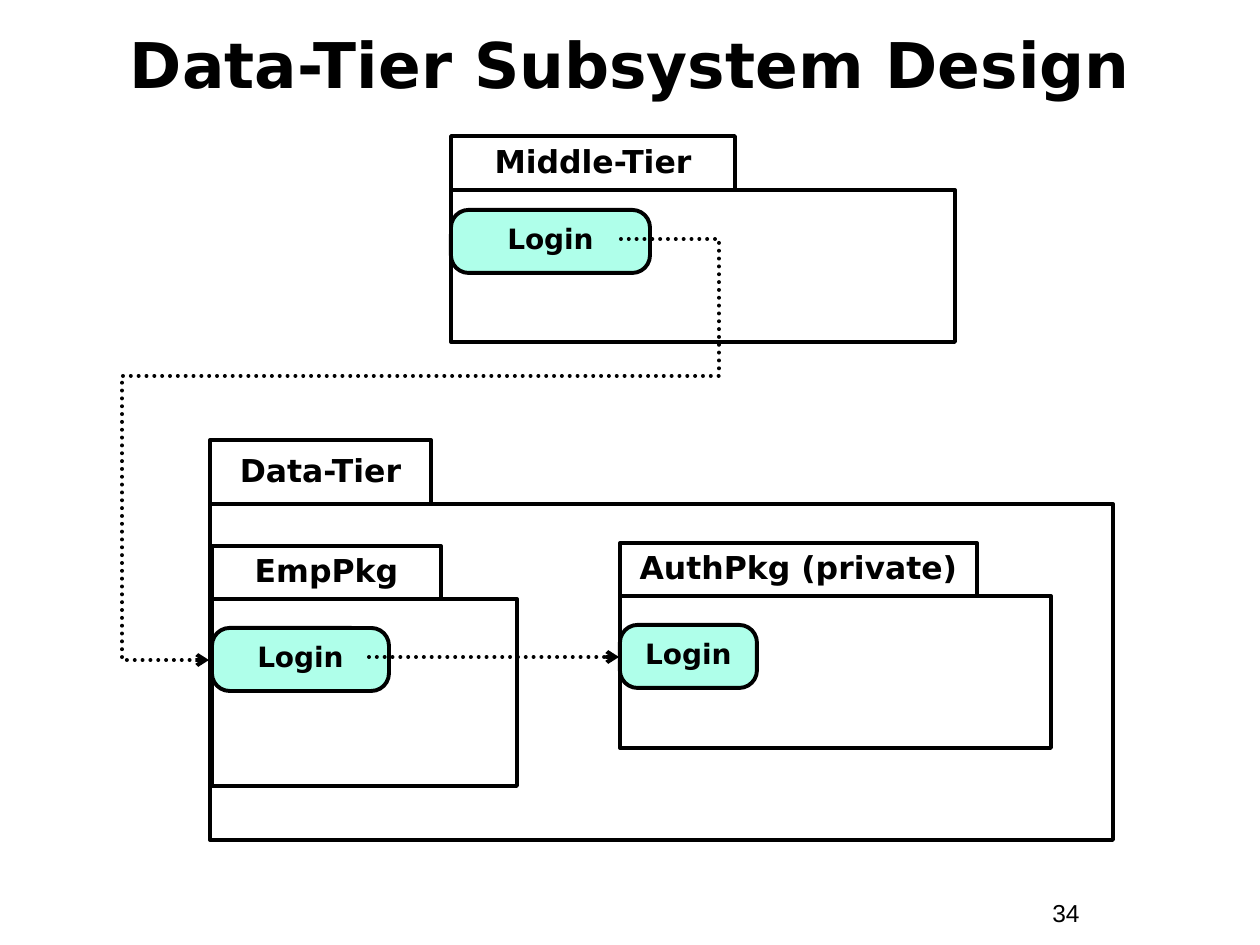
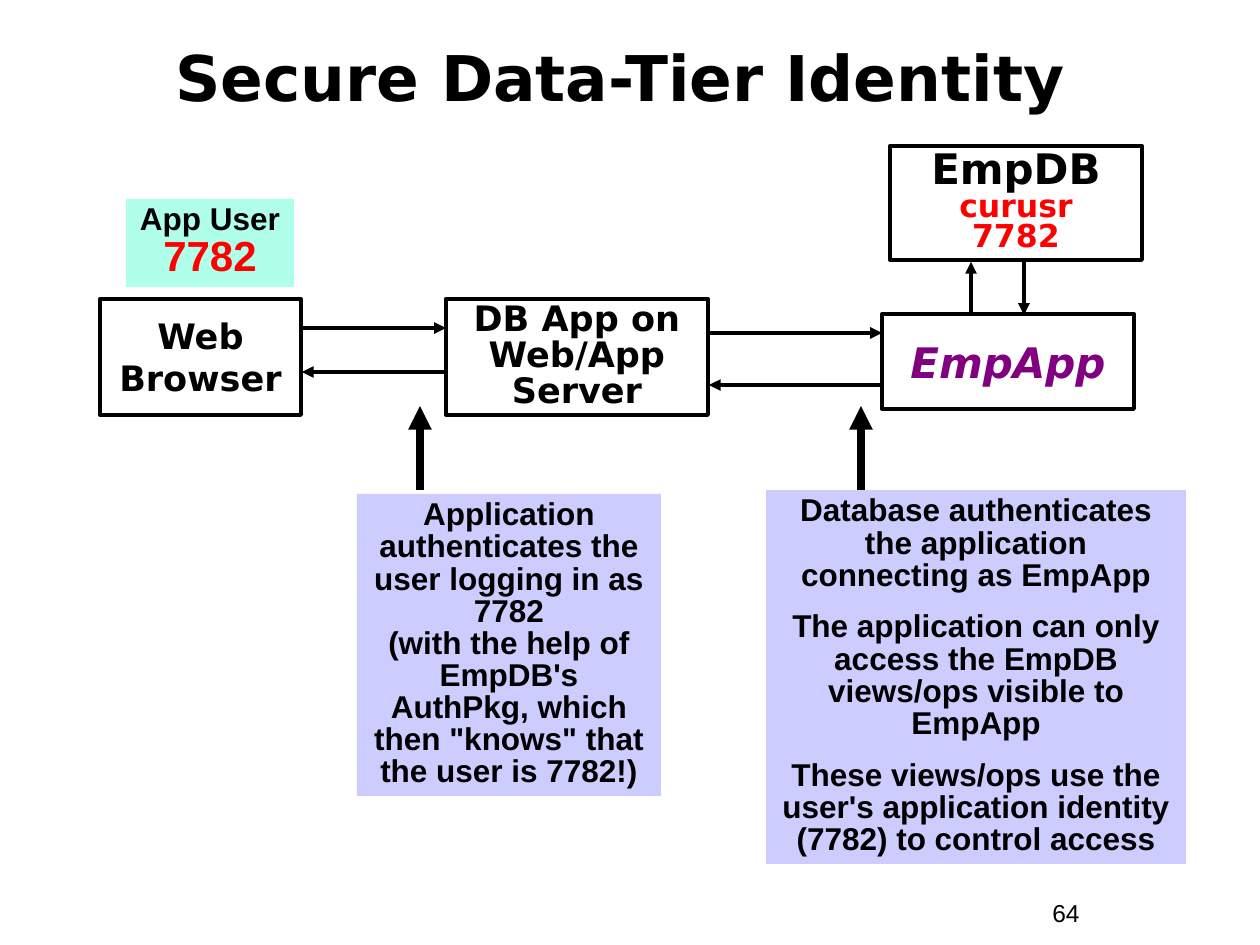
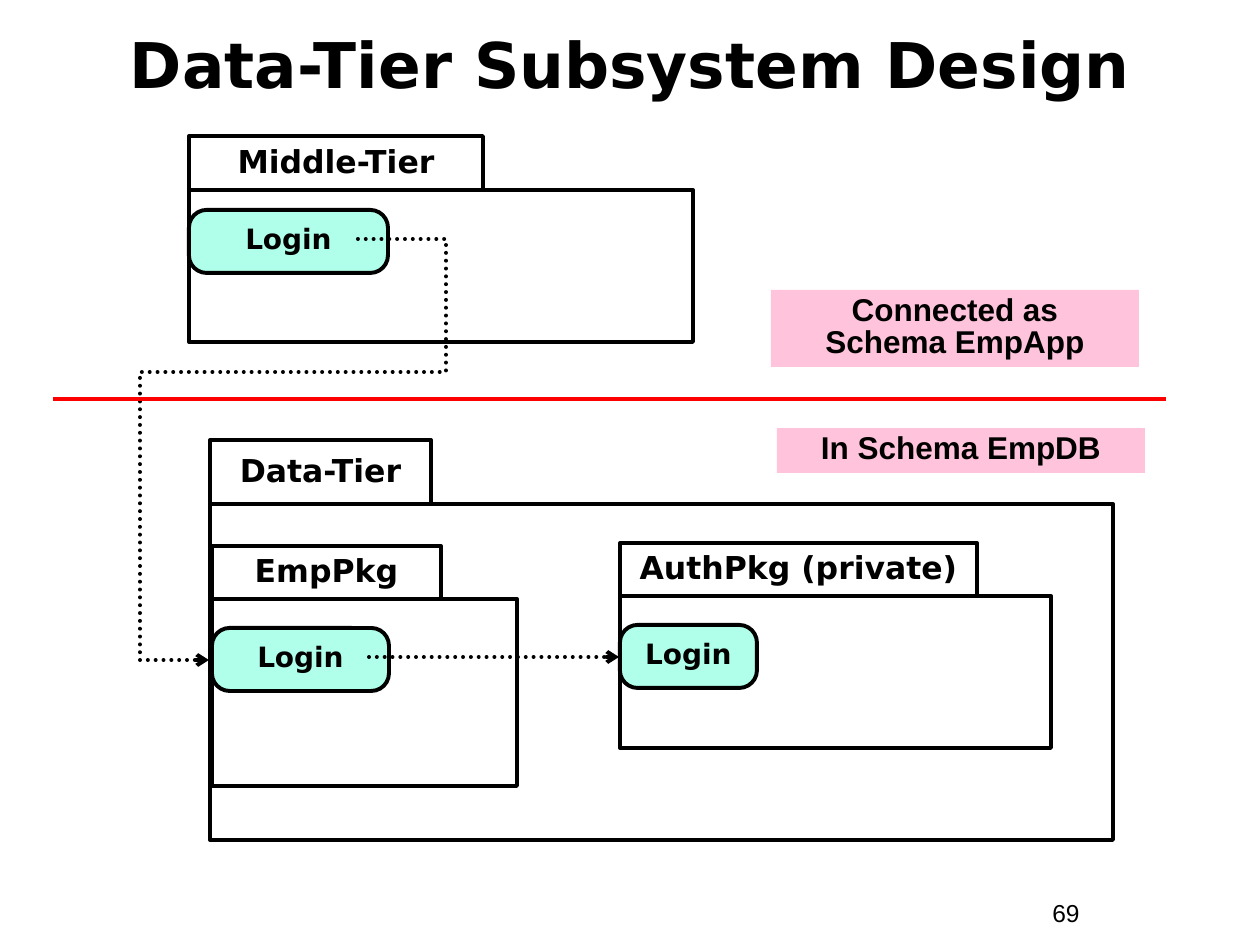
from typing import NamedTuple

from lxml.etree import SubElement
from pptx import Presentation
from pptx.dml.color import RGBColor
from pptx.enum.dml import MSO_LINE
from pptx.enum.shapes import MSO_CONNECTOR, MSO_SHAPE
from pptx.enum.text import MSO_ANCHOR, MSO_AUTO_SIZE, PP_ALIGN
from pptx.oxml.ns import qn
from pptx.util import Emu, Pt

PX = 914400 / 126
BLACK = RGBColor(0x00, 0x00, 0x00)
RED = RGBColor(0xFF, 0x00, 0x00)
PURPLE = RGBColor(0x80, 0x00, 0x80)
MINT = RGBColor(0xAF, 0xFF, 0xEA)
LAVENDER = RGBColor(0xCC, 0xCC, 0xFF)
PINK = RGBColor(0xFF, 0xC3, 0xDB)
DIAGRAM_FONT = "DejaVu Sans"
NOTE_FONT = "Arial"
LINE_WIDTH = 2.25
LOGIN_HEIGHT = 63


class Box(NamedTuple):
    """A rectangle in px."""

    left: int
    top: int
    width: int
    height: int

    @property
    def right(self):
        """Return the right edge."""
        return self.left + self.width

    @property
    def bottom(self):
        """Return the bottom edge."""
        return self.top + self.height


def px(length):
    """Turn px into EMU."""
    return Emu(round(length * PX))


def format_runs(runs, font_name, size, color=BLACK, bold=True):
    """Give the runs one font."""
    for run in runs:
        run.font.name = font_name
        run.font.size = Pt(size)
        run.font.bold = bold
        run.font.color.rgb = color


def write_text(shape, text, font_name, size, spacing=1.0, anchor=MSO_ANCHOR.MIDDLE, wrap=True):
    """Write centred bold paragraphs into a shape."""
    frame = shape.text_frame
    frame.text = text
    frame.word_wrap = wrap
    frame.vertical_anchor = anchor
    frame.auto_size = MSO_AUTO_SIZE.NONE
    for index, paragraph in enumerate(frame.paragraphs):
        paragraph.alignment = PP_ALIGN.CENTER
        paragraph.line_spacing = spacing
        paragraph.space_before = Pt(11.2 if index else 0)
        format_runs(paragraph.runs, font_name, size)


def add_box(slide, box, fill=None, outlined=True, kind=MSO_SHAPE.RECTANGLE):
    """Add a plain shape that fills the box."""
    shape = slide.shapes.add_shape(kind, *map(px, box))
    shape.shadow.inherit = False
    if fill is None:
        shape.fill.background()
    else:
        shape.fill.solid()
        shape.fill.fore_color.rgb = fill
    if outlined:
        shape.line.color.rgb = BLACK
        shape.line.width = Pt(LINE_WIDTH)
    else:
        shape.line.fill.background()
    return shape


def add_label(slide, box, text, size, spacing=1.0):
    """Add an outlined box with an unwrapped label."""
    shape = add_box(slide, box)
    write_text(shape, text, DIAGRAM_FONT, size, spacing, wrap=False)
    return shape


def add_note(slide, box, text, fill):
    """Add a coloured note with text from its top."""
    shape = add_box(slide, box, fill, outlined=False)
    write_text(shape, text, NOTE_FONT, 18, 0.85, MSO_ANCHOR.TOP)
    return shape


def add_line(slide, start, end, color=BLACK, width=LINE_WIDTH, head=None, dotted=False,
             kind=MSO_CONNECTOR.STRAIGHT):
    """Add a connector, with an optional arrowhead at its end."""
    connector = slide.shapes.add_connector(kind, *map(px, (*start, *end)))
    connector.line.color.rgb = color
    connector.line.width = Pt(width)
    outline = connector.line._get_or_add_ln()
    if dotted:
        connector.line.dash_style = MSO_LINE.ROUND_DOT
        outline.set("cap", "rnd")
    if head:
        SubElement(outline, qn("a:tailEnd"), type=head)
    SubElement(connector._element.spPr, qn("a:effectLst"))
    return connector


def add_call_route(slide, start, end, out_x, middle_y, back_x):
    """Add a dotted five-part arrow that turns at the given places."""
    connector = add_line(slide, start, end, head="arrow", dotted=True, kind=MSO_CONNECTOR.ELBOW)
    geometry = connector._element.spPr.find(qn("a:prstGeom"))
    geometry.set("prst", "bentConnector5")
    guides = geometry.find(qn("a:avLst"))
    if guides is None:
        guides = SubElement(geometry, qn("a:avLst"))
    width, height = end[0] - start[0], end[1] - start[1]
    turns = ((out_x - start[0]) / width, (middle_y - start[1]) / height, (back_x - start[0]) / width)
    for number, turn in enumerate(turns, 1):
        SubElement(guides, qn("a:gd"), name=f"adj{number}", fmla=f"val {round(turn * 100000)}")


def add_package(slide, box, name, tab_width, tab_height=53):
    """Add a package: a name tab above a body."""
    body = Box(box.left, box.top + tab_height, box.width, box.height - tab_height)
    add_box(slide, body)
    add_label(slide, Box(box.left, box.top, tab_width, tab_height), name, 18, 0.9)
    return body


def add_login(slide, body, width, gap):
    """Add a login operation at the left edge of a package body."""
    box = Box(body.left, body.top + gap, width, LOGIN_HEIGHT)
    shape = add_box(slide, box, MINT, kind=MSO_SHAPE.ROUNDED_RECTANGLE)
    shape.adjustments[0] = 0.28
    write_text(shape, "Login", DIAGRAM_FONT, 16, 0.85, wrap=False)


def add_titled_slide(presentation, title, box, page, spacing=1.0):
    """Add a slide with its title and page number."""
    slide = presentation.slides.add_slide(presentation.slide_layouts[5])
    shape = slide.shapes.title
    shape.left, shape.top, shape.width, shape.height = map(px, box)
    write_text(shape, title, DIAGRAM_FONT, 36, spacing)
    number = slide.shapes.add_textbox(*map(px, Box(1040, 892, 116, 43)))
    number.text_frame.word_wrap = True
    number.text_frame.text = str(page)
    format_runs(number.text_frame.paragraphs[0].runs, NOTE_FONT, 14, bold=False)
    return slide


def draw_data_tier(slide, box):
    """Draw the data tier with its two packages and their call."""
    add_package(slide, box, "Data-Tier", 221, 64)
    employee = add_package(slide, Box(box.left + 2, box.top + 106, 305, 240), "EmpPkg", 229)
    authentication = add_package(
        slide, Box(box.left + 410, box.top + 103, 431, 205), "AuthPkg (private)", 357)
    add_login(slide, employee, 177, 29)
    add_login(slide, authentication, 137, 29)
    call_y = box.top + 217
    add_line(slide, (box.left + 159, call_y), (authentication.left - 1, call_y),
             head="arrow", dotted=True)


def add_subsystem_slide(presentation, page, middle_box, tab_width, start_x, turns):
    """Add a slide on the middle tier calling the data tier."""
    slide = add_titled_slide(
        presentation, "Data-Tier Subsystem Design", Box(42, 11, 1176, 105), page)
    middle = add_package(slide, middle_box, "Middle-Tier", tab_width, 54)
    add_login(slide, middle, 199, 20)
    data_box = Box(210, 440, 903, 400)
    draw_data_tier(slide, data_box)
    add_call_route(slide, (start_x, middle.top + 49), (data_box.left - 1, data_box.top + 220), *turns)
    return slide


def draw_schema_border(slide, box):
    """Draw the border between the schemas with a note on each side."""
    add_line(slide, (box.left, box.top + 109), (box.right, box.top + 109), RED)
    add_note(slide, Box(box.left + 718, box.top, 368, 77), "Connected as\vSchema EmpApp", PINK)
    add_note(slide, Box(box.left + 724, box.top + 138, 368, 45), "In Schema EmpDB", PINK)


def draw_exchange(slide, left_box, right_box, request_y, reply_y):
    """Draw a request and a reply between two neighbouring boxes."""
    add_line(slide, (left_box.right + 1, request_y), (right_box.left, request_y), head="triangle")
    add_line(slide, (right_box.left, reply_y), (left_box.right + 1, reply_y), head="triangle")


def draw_callout(slide, box, text, arrow_x):
    """Draw a note with a thick arrow that points up to the exchange."""
    add_line(slide, (arrow_x, 490), (arrow_x, 406), width=4.5, head="triangle")
    add_note(slide, box, text, LAVENDER)


def draw_database(slide, box, application):
    """Draw the database box and its links to the application below."""
    shape = add_box(slide, box)
    write_text(shape, "EmpDB\vcurusr\v7782", DIAGRAM_FONT, 24, 0.8)
    format_runs(shape.text_frame.paragraphs[0].runs[1:], DIAGRAM_FONT, 18, RED)
    up_x, down_x = box.left + 81, box.left + 134
    add_line(slide, (up_x, application.top), (up_x, box.bottom + 2), head="triangle")
    add_line(slide, (down_x, box.bottom + 2), (down_x, application.top + 1), head="triangle")


def add_identity_slide(presentation):
    """Add the slide on how the user's identity reaches the database."""
    slide = add_titled_slide(
        presentation, "Secure Data-Tier Identity", Box(32, 21, 1176, 123), 64, 0.85)
    browser = Box(100, 299, 201, 116)
    server = Box(446, 299, 262, 116)
    application = Box(882, 314, 252, 95)

    add_label(slide, browser, "Web\vBrowser", 20)
    add_label(slide, server, "DB App on\vWeb/App\vServer", 20, 0.85)
    label = add_label(slide, application, "EmpApp", 24)
    run = label.text_frame.paragraphs[0].runs[0]
    run.font.italic = True
    run.font.color.rgb = PURPLE

    draw_exchange(slide, browser, server, 328, 372)
    draw_exchange(slide, server, application, 333, 385)
    draw_database(slide, Box(890, 146, 252, 114), application)

    user = add_note(slide, Box(126, 199, 168, 88), "App User\v7782", MINT)
    format_runs(user.text_frame.paragraphs[0].runs[1:], NOTE_FONT, 24, RED)
    draw_callout(
        slide, Box(357, 494, 304, 302),
        "Application authenticates the user logging in as 7782\v"
        "(with the help of EmpDB's AuthPkg, which then \"knows\" that the user is 7782!)", 420)
    draw_callout(
        slide, Box(766, 490, 420, 374),
        "Database authenticates the application connecting as EmpApp\n"
        "The application can only access the EmpDB views/ops visible to EmpApp\n"
        "These views/ops use the user's application identity (7782) to control access", 861)


def main():
    """Build the presentation."""
    presentation = Presentation()
    presentation.slide_width, presentation.slide_height = px(1260), px(945)
    add_subsystem_slide(presentation, 34, Box(451, 136, 504, 206), 284, 621, (719, 376, 122))
    add_identity_slide(presentation)
    slide = add_subsystem_slide(
        presentation, 69, Box(189, 136, 504, 206), 294, 358, (446, 372, 140))
    draw_schema_border(slide, Box(53, 290, 1113, 183))
    presentation.save("out.pptx")


if __name__ == "__main__":
    main()
